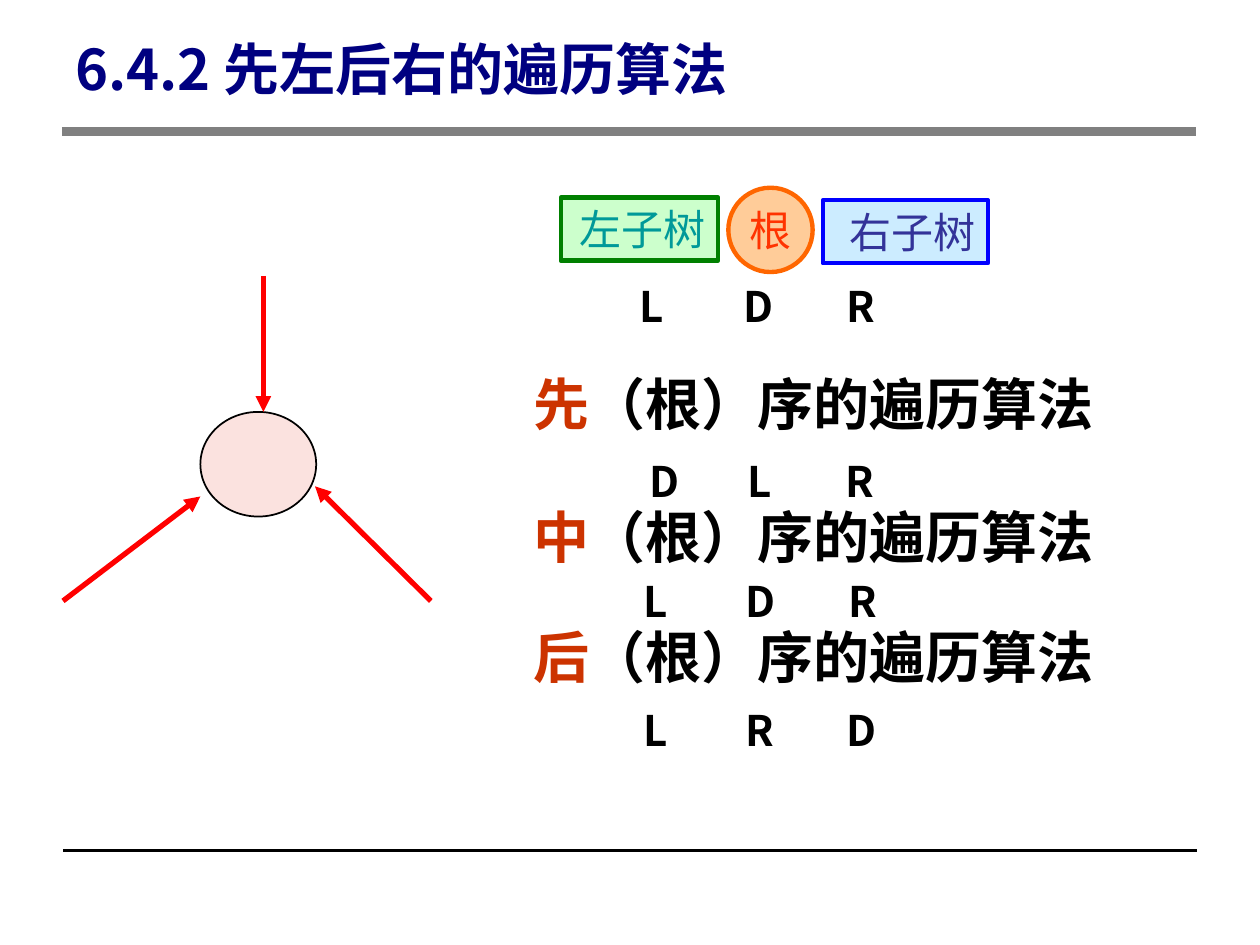
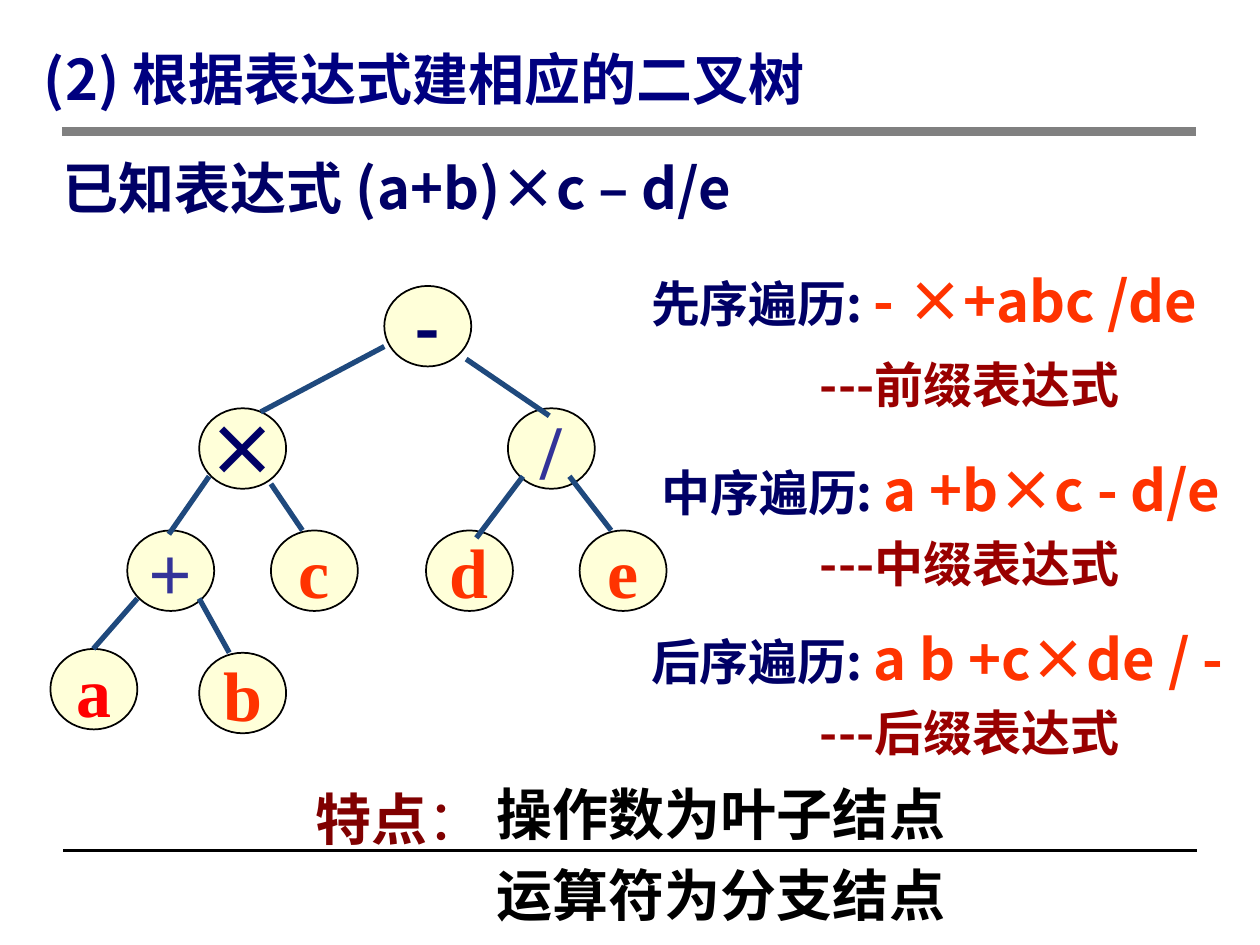
from lxml.etree import SubElement
from pptx import Presentation
from pptx.dml.color import RGBColor as RGB
from pptx.enum.shapes import MSO_CONNECTOR as MC, MSO_SHAPE as MS
from pptx.enum.text import MSO_ANCHOR as MA, PP_ALIGN as PA
from pptx.oxml.ns import qn
from pptx.util import Pt

SANS, SERIF = "Noto Sans CJK SC", "Times New Roman"
BLACK = RGB(0, 0, 0)
GREY = RGB(0x80, 0x80, 0x80)
TITLE_BLUE = RGB(0, 0, 0x80)
NAVY = RGB(0, 0, 0x66)
INDIGO = RGB(0x33, 0x33, 0x99)
BLUE = RGB(0, 0, 0xFF)
SKY = RGB(0xCC, 0xEC, 0xFF)
GREEN = RGB(0, 0x80, 0)
MINT = RGB(0xCC, 0xFF, 0xCC)
TEAL = RGB(0, 0x99, 0x99)
RED = RGB(0xFF, 0, 0)
VERMILION = RGB(0xFF, 0x33, 0)
BRICK = RGB(0xCC, 0x33, 0)
CRIMSON = RGB(0x99, 0, 0)
MAROON = RGB(0x80, 0, 0)
ORANGE = RGB(0xFF, 0x66, 0)
PEACH = RGB(0xFF, 0xCC, 0x99)
PINK = RGB(0xFB, 0xE2, 0xDF)
CREAM = RGB(0xFF, 0xFF, 0xD9)
STEEL = RGB(0x1F, 0x49, 0x7D)

SLIDE_W, SLIDE_H = 720, 540
RULES = [((36, 486), (684, 486), BLACK, 2), ((35.3, 75), (683.3, 75), GREY, 5)]

TRAVERSAL_TITLE = ("6.4.2 先左后右的遍历算法", (36, 16.5, 415.5, 43))
ORDERS = [("先", 207.4), ("中", 283.7), ("后", 352)]
ORDER_TAIL = "（根）序的遍历算法"
LETTER_ROWS = [("LDR", 358.6, 157, 59), ("DLR", 364.3, 257, 56),
               ("LDR", 360.7, 325.4, 58.5), ("LRD", 360.7, 398.9, 58)]
SUBTREES = [("左子树", (320.4, 113, 90, 36), MINT, GREEN, TEAL),
            ("右子树", (470.2, 114.5, 94.3, 36), SKY, BLUE, INDIGO)]
ROOT = ("根", (416.2, 107.3, 48.2, 48.2))
VISITED = (114.5, 235.4, 66.2, 59.8)
VISITS = [((150.5, 157.7), (150.5, 235.4)), ((36, 343.4), (114.5, 283.7)),
          ((246.2, 343.4), (180, 277.9))]

EXPRESSION_TITLE = ("(2) 根据表达式建相应的二叉树", (18, 22.3, 702, 43))
EXPRESSION = ("已知表达式 (a+b)×c – d/e", (28.8, 76.3, 510.5, 54))
NODE_W, NODE_H = 49.7, 46
NODES = [("-", 219.6, 163.4, SANS, 40, NAVY),
         ("×", 113.8, 233.3, SANS, 40, NAVY),
         ("/", 290.2, 233.3, SERIF, 44, INDIGO),
         ("+", 72.7, 303.1, SERIF, 44, INDIGO),
         ("c", 154.8, 303.1, SERIF, 40, VERMILION),
         ("d", 243.4, 303.1, SERIF, 40, VERMILION),
         ("e", 331.2, 303.1, SERIF, 40, VERMILION),
         ("a", 28.8, 370.8, SERIF, 40, RED),
         ("b", 113.8, 373, SERIF, 40, VERMILION)]
EDGES = [((219.6, 198), (149, 235.4)), ((266.4, 205.2), (313.9, 237.6)),
         ((119.5, 272.2), (96.5, 305.3)), ((154.8, 276.5), (172.8, 303.1)),
         ((298.8, 272.2), (272.2, 307.4)), ((325.4, 272.2), (349.2, 303.1)),
         ((78.5, 342), (53.3, 370.8)), ((113.8, 342), (131, 373))]
TRAVERSALS = [("先序遍历: ", "- ×+abc /de", (365, 141.1), "---前缀表达式", 192.2),
              ("中序遍历: ", "a +b×c - d/e", (370.8, 249.1), "---中缀表达式", 294.5),
              ("后序遍历: ", "a b +c×de / -", (365, 345.6), "---后缀表达式", 391)]
FEATURES = ["操作数为叶子结点", "运算符为分支结点"]


def run(text, size, color, bold=True, font=SANS):
    return text, size, color, bold, font


def write(sp, paras, align=PA.LEFT, anchor=MA.TOP, wrap=True, spacing=None):
    tf = sp.text_frame
    tf.word_wrap = wrap
    tf.vertical_anchor = anchor
    for i, runs in enumerate(paras):
        p = tf.add_paragraph() if i else tf.paragraphs[0]
        p.alignment = align
        if spacing:
            p.line_spacing = spacing
        for text, size, color, bold, font in runs:
            r = p.add_run()
            r.text = text
            f = r.font
            f.size, f.bold = Pt(size), bold
            f.color.rgb = color
            f.name = font
            SubElement(f._element, qn("a:ea")).set("typeface", font)
    return sp


def add_text(slide, box, *paras, **style):
    return write(slide.shapes.add_textbox(*map(Pt, box)), paras, **style)


def add_shape(slide, kind, box, fill, line, width):
    sp = slide.shapes.add_shape(kind, *map(Pt, box))
    sp.shadow.inherit = False
    sp.fill.solid()
    sp.fill.fore_color.rgb = fill
    sp.line.color.rgb = line
    sp.line.width = Pt(width)
    return sp


def add_line(slide, start, end, color, width, arrow=False):
    c = slide.shapes.add_connector(MC.STRAIGHT, *map(Pt, start + end))
    c.line.color.rgb = color
    c.line.width = Pt(width)
    if arrow:
        SubElement(c.line._get_or_add_ln(), qn("a:tailEnd")).set("type", "triangle")
    SubElement(c._element.spPr, qn("a:effectLst"))


def add_letters(slide, letters, left, top, pitch):
    sp = add_text(slide, (left, top, 160, 36), [run("\t".join(letters), 24, BLACK)],
                  wrap=False)
    tabs = SubElement(sp.text_frame.paragraphs[0]._p.get_or_add_pPr(), qn("a:tabLst"))
    for i in range(1, len(letters)):
        tab = SubElement(tabs, qn("a:tab"))
        tab.set("pos", str(Pt(pitch * i)))
        tab.set("algn", "l")


def new_slide(prs, title, box):
    slide = prs.slides.add_slide(prs.slide_layouts[6])
    for rule in RULES:
        add_line(slide, *rule)
    add_text(slide, box, [run(title, 32, TITLE_BLUE)], anchor=MA.MIDDLE, spacing=Pt(40))
    return slide


def build_traversal(prs):
    slide = new_slide(prs, *TRAVERSAL_TITLE)
    for order, top in ORDERS:
        add_text(slide, (294.5, top, 337.7, 46),
                 [run(order, 32, BRICK), run(ORDER_TAIL, 32, BLACK)],
                 align=PA.RIGHT, wrap=False)
    add_shape(slide, MS.OVAL, VISITED, PINK, BLACK, 1)
    for start, end in VISITS:
        add_line(slide, start, end, RED, 3, arrow=True)
    for text, box, fill, line, color in SUBTREES:
        sp = add_shape(slide, MS.RECTANGLE, box, fill, line, 2.5)
        write(sp, [[run(text, 24, color, False)]], align=PA.RIGHT)
    text, box = ROOT
    sp = add_shape(slide, MS.OVAL, box, PEACH, ORANGE, 2.5)
    write(sp, [[run(text, 24, VERMILION, False)]], PA.CENTER, MA.MIDDLE, wrap=False)
    for row in LETTER_ROWS:
        add_letters(slide, *row)


def build_expression(prs):
    slide = new_slide(prs, *EXPRESSION_TITLE)
    text, box = EXPRESSION
    add_text(slide, box, [run(text, 32, NAVY)], spacing=1.2)
    for text, left, top, font, size, color in NODES:
        sp = add_shape(slide, MS.OVAL, (left, top, NODE_W, NODE_H), CREAM, BLACK, 1)
        write(sp, [[run(text, size, color, font=font)]], PA.CENTER, MA.MIDDLE, wrap=False)
    for start, end in EDGES:
        add_line(slide, start, end, STEEL, 3)
    for label, result, (left, top), form, form_top in TRAVERSALS:
        add_text(slide, (left, top, SLIDE_W - left, 51),
                 [run(label, 28, NAVY), run(result, 32, VERMILION)], spacing=1.2)
        add_text(slide, (461.5, form_top, 249.8, 45.4), [run(form, 28, CRIMSON)], spacing=1.2)
    add_text(slide, (136, 437, 147.6, 54),
             [run("特点", 32, MAROON), run("：", 32, MAROON, False)],
             align=PA.RIGHT, spacing=1.2)
    add_text(slide, (269.3, 434.2, 278, 100), *[[run(t, 32, BLACK)] for t in FEATURES],
             align=PA.RIGHT, spacing=1.2)


def main():
    prs = Presentation()
    prs.slide_width, prs.slide_height = Pt(SLIDE_W), Pt(SLIDE_H)
    build_traversal(prs)
    build_expression(prs)
    prs.save("out.pptx")


if __name__ == "__main__":
    main()
